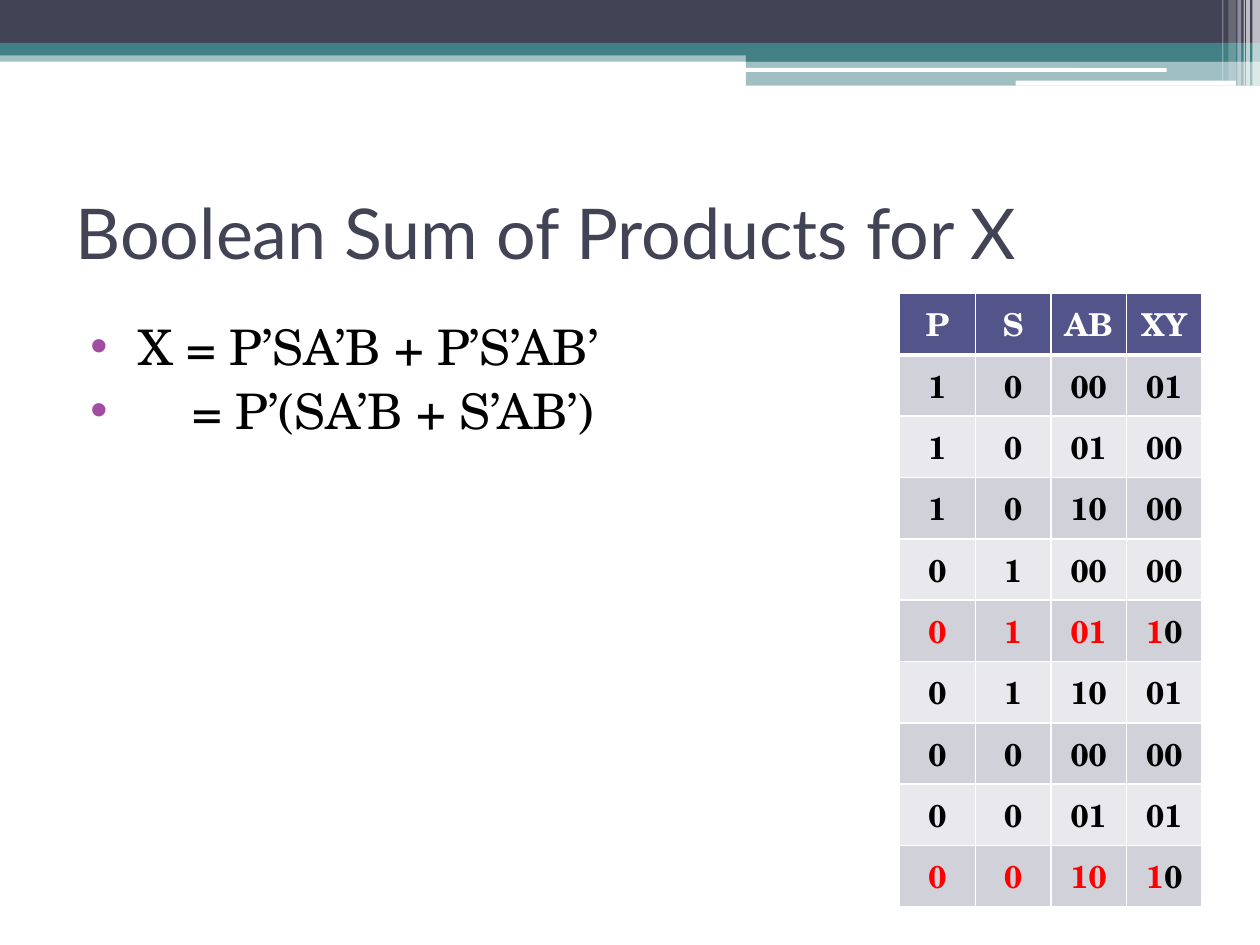
from lxml import etree
from pptx import Presentation
from pptx.dml.color import RGBColor
from pptx.enum import shapes, text
from pptx.oxml import ns
from pptx.util import Inches, Pt

NAVY = RGBColor(0x42, 0x44, 0x56)
TEAL = RGBColor(0x43, 0x80, 0x86)
HEADER = RGBColor(0x53, 0x54, 0x8A)
BANDS = [RGBColor(0xD1, 0xD1, 0xDA), RGBColor(0xE9, 0xE9, 0xED)]
PURPLE = RGBColor(0xA0, 0x4D, 0xA3)
RED = RGBColor(0xFF, 0, 0)
BLACK = RGBColor(0, 0, 0)
WHITE = RGBColor(0xFF, 0xFF, 0xFF)
HEAD_FONT, BODY_FONT = "Lato", "TeX Gyre Schola"

# Content
TITLE = "Boolean Sum of Products for X"
# Text and its left margin; the second line starts under the first equals sign
EQUATIONS = [("X = P’SA’B + P’S’AB’", 0.5), ("= P’(SA’B + S’AB’)", 0.93)]
COLUMNS = ["P", "S", "AB", "XY"]
TRUTH = [
    ("1", "0", "00", "01"),
    ("1", "0", "01", "00"),
    ("1", "0", "10", "00"),
    ("0", "1", "00", "00"),
    ("0", "1", "01", "10"),
    ("0", "1", "10", "01"),
    ("0", "0", "00", "00"),
    ("0", "0", "01", "01"),
    ("0", "0", "10", "10"),
]
# Banner: left, top, width, height, colour, opacity in percent
BANDS_TOP = [
    (0, 0.4, 10, 0.09, TEAL, 50),
    (0, 0, 10, 0.34, NAVY, 100),
    (0, 0.34, 10, 0.1, TEAL, 100),
    (5.92, 0.39, 4.08, 0.1, TEAL, 100),
    (5.92, 0.48, 4.08, 0.2, TEAL, 50),
]
PILLS = [(5.91, 0.54, 3.35, 0.03, WHITE, 100), (8.06, 0.64, 1.75, 0.04, WHITE, 100)]
STRIPES = [
    (9.94, 0, 0.06, 0.68, WHITE, 65),
    (9.89, 0, 0.03, 0.68, WHITE, 65),
    (9.87, 0, 0.01, 0.68, WHITE, 60),
    (9.82, 0, 0.03, 0.68, WHITE, 40),
    (9.75, 0, 0.06, 0.64, WHITE, 20),
    (9.7, 0, 0.01, 0.64, WHITE, 30),
]
BULLET_LEFT = 0.12
COL_W, TABLE_H = 0.6, 4.87


def add_run(p, value, font=BODY_FONT, size=18, color=BLACK, bold=False):
    r = p.add_run()
    r.text = value
    r.font.name, r.font.size, r.font.bold = font, Pt(size), bold
    r.font.color.rgb = color


def add_band(s, kind, left, top, width, height, color, opacity):
    sp = s.shapes.add_shape(kind, *map(Inches, (left, top, width, height)))
    sp.shadow.inherit = False
    sp.line.fill.background()
    sp.fill.solid()
    sp.fill.fore_color.rgb = color
    if opacity < 100:
        clr = sp.fill._xPr.find(".//" + ns.qn("a:srgbClr"))
        etree.SubElement(clr, ns.qn("a:alpha"), val=str(opacity * 1000))


def add_bullet(p, margin):
    pPr = p._p.get_or_add_pPr()
    pPr.set("marL", str(Inches(margin)))
    pPr.set("indent", str(Inches(BULLET_LEFT - margin)))
    clr = etree.SubElement(pPr, ns.qn("a:buClr"))
    etree.SubElement(clr, ns.qn("a:srgbClr"), val=str(PURPLE))
    etree.SubElement(pPr, ns.qn("a:buFont"), typeface="Arial")
    etree.SubElement(pPr, ns.qn("a:buChar"), char="•")


def set_borders(cell, **widths):
    tcPr = cell._tc.get_or_add_tcPr()
    for i, side in enumerate(("lnL", "lnR", "lnT", "lnB")):
        ln = etree.Element(ns.qn("a:" + side), w=str(Pt(widths.get(side, 1))))
        fill = etree.SubElement(ln, ns.qn("a:solidFill"))
        etree.SubElement(fill, ns.qn("a:srgbClr"), val=str(WHITE))
        tcPr.insert(i, ln)


prs = Presentation()
prs.slide_width, prs.slide_height = Inches(10), Inches(7.5)
s = prs.slides.add_slide(prs.slide_layouts[5])

# Banner
for kind, parts in (
    (shapes.MSO_SHAPE.RECTANGLE, BANDS_TOP),
    (shapes.MSO_SHAPE.ROUNDED_RECTANGLE, PILLS),
    (shapes.MSO_SHAPE.RECTANGLE, STRIPES),
):
    for part in parts:
        add_band(s, kind, *part)

# Title
title = s.shapes.title
title.left, title.top, title.width, title.height = map(Inches, (0.5, 1.25, 9, 1.17))
tf = title.text_frame
tf.vertical_anchor = text.MSO_ANCHOR.MIDDLE
tf.auto_size = text.MSO_AUTO_SIZE.NONE
p = tf.paragraphs[0]
p.alignment = text.PP_ALIGN.LEFT
add_run(p, TITLE, font=HEAD_FONT, size=40, color=NAVY)

# Equations
tf = s.shapes.add_textbox(*map(Inches, (0.5, 2.46, 9, 4.73))).text_frame
tf.word_wrap = True
for i, (equation, margin) in enumerate(EQUATIONS):
    p = tf.add_paragraph() if i else tf.paragraphs[0]
    add_bullet(p, margin)
    p.space_before = Pt(3 if i else 0)
    add_run(p, equation, size=28)

# Truth table, with the rows where X is 1 in red
rows = [COLUMNS] + TRUTH
table = s.shapes.add_table(len(rows), len(COLUMNS), Inches(7.14), Inches(2.33),
                           Inches(COL_W * len(COLUMNS)), Inches(TABLE_H)).table
for row, values in enumerate(rows):
    x_is_one = values[-1].startswith("1")
    for col, value in enumerate(values):
        cell = table.cell(row, col)
        cell.fill.solid()
        cell.fill.fore_color.rgb = BANDS[(row - 1) % 2] if row else HEADER
        set_borders(cell, lnB=1 if row else 3, lnT=3 if row == 1 else 1)
        p = cell.text_frame.paragraphs[0]
        p.alignment = text.PP_ALIGN.CENTER
        color = RED if x_is_one else BLACK if row else WHITE
        if x_is_one and col == len(values) - 1:
            add_run(p, value[0], color=RED, bold=True)
            add_run(p, value[1], color=BLACK, bold=True)
        else:
            add_run(p, value, color=color, bold=True)

prs.save("out.pptx")
